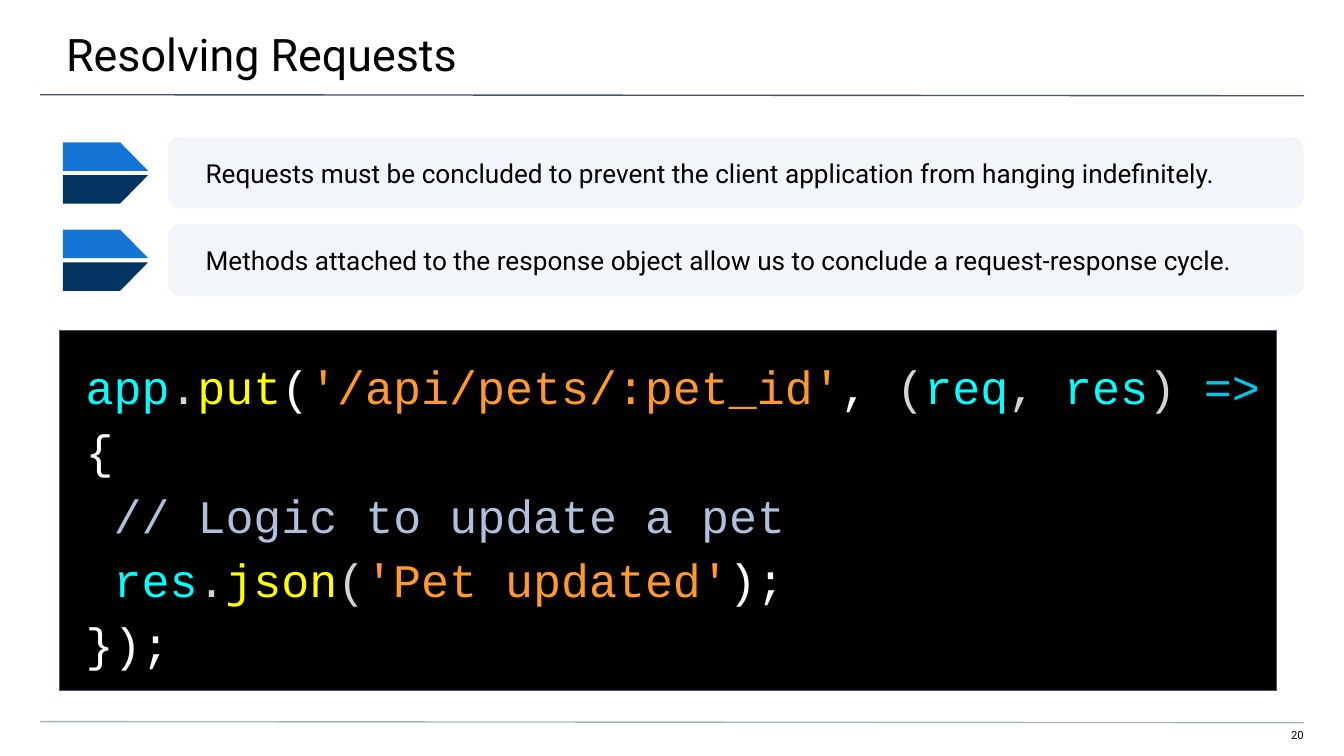
"""Build the Resolving Requests slide with two statements and a code panel."""
from lxml.etree import SubElement
from pptx import Presentation
from pptx.dml.color import RGBColor
from pptx.enum.shapes import MSO_CONNECTOR, MSO_SHAPE
from pptx.enum.text import MSO_ANCHOR, MSO_AUTO_SIZE, PP_ALIGN
from pptx.oxml.ns import qn
from pptx.util import Cm, Pt

BLACK = RGBColor(0x00, 0x00, 0x00)
WHITE = RGBColor(0xFF, 0xFF, 0xFF)
SLATE = RGBColor(0x44, 0x54, 0x6A)
MIST = RGBColor(0xA9, 0xB7, 0xC0)
PALE = RGBColor(0xF2, 0xF5, 0xF9)
BLUE = RGBColor(0x14, 0x75, 0xD4)
NAVY = RGBColor(0x04, 0x34, 0x61)
CYAN = RGBColor(0x00, 0xFF, 0xFF)
GREY = RGBColor(0xD4, 0xD4, 0xD4)
YELLOW = RGBColor(0xFF, 0xFF, 0x00)
ORANGE = RGBColor(0xFF, 0x99, 0x2D)
SKY = RGBColor(0x00, 0xC8, 0xE9)
COMMENT = RGBColor(0xAF, 0xC0, 0xDC)

STATEMENTS = [
    "Requests must be concluded to prevent the client application from hanging indefinitely.",
    "Methods attached to the response object allow us to conclude a request-response cycle.",
]
CODE = [
    [("app", CYAN), (".", GREY), ("put", YELLOW), ("(", WHITE),
     ("'/api/pets/:pet_id'", ORANGE), (",", WHITE), (" (", GREY), ("req", CYAN),
     (", ", GREY), ("res", CYAN), (")", GREY), (" => ", SKY), ("{", WHITE)],
    [(" // Logic to update a pet", COMMENT)],
    [(" res", CYAN), (".", GREY), ("json", YELLOW), ("(", GREY),
     ("'Pet updated'", ORANGE), (");", WHITE)],
    [("});", WHITE)],
]


class SlideBuilder:
    """Hold the style and the current slide."""

    styles = {
        "title": {"name": "Roboto", "size": Pt(24)},
        "statement": {"name": "Roboto", "size": Pt(14)},
        "code": {"name": "Courier New", "size": Pt(25)},
        "number": {"name": "Roboto", "size": Pt(6)},
    }

    def __init__(self, prs):
        """Add a title-only slide."""
        self.s = prs.slides.add_slide(prs.slide_layouts[5])

    def fill_text(self, sp, lines, style, insets, anchor=MSO_ANCHOR.MIDDLE,
                  align=PP_ALIGN.LEFT, spacing=1.0):
        """Fill a shape with lines of coloured runs."""
        tf = sp.text_frame
        sides = ("margin_left", "margin_top", "margin_right", "margin_bottom")
        frame = dict(zip(sides, map(Cm, insets)))
        frame.update(word_wrap=True, auto_size=MSO_AUTO_SIZE.NONE, vertical_anchor=anchor)
        for key, value in frame.items():
            setattr(tf, key, value)
        for i, line in enumerate(lines):
            p = tf.add_paragraph() if i else tf.paragraphs[0]
            for key, value in {"alignment": align, "line_spacing": spacing}.items():
                setattr(p, key, value)
            for text, color in line:
                r = p.add_run()
                r.text = text
                for key, value in self.styles[style].items():
                    setattr(r.font, key, value)
                r.font.color.rgb = color

    def paint(self, sp, fill, line=None):
        """Set the fill and outline without a shadow."""
        sp.shadow.inherit = False
        sp.fill.solid()
        sp.fill.fore_color.rgb = fill
        if line is None:
            sp.line.fill.background()
        else:
            sp.line.color.rgb = line
            sp.line.width = Pt(0.75)

    def title(self, text):
        """Place the title."""
        sp = self.s.shapes.title
        place = {"left": Cm(-0.02), "top": Cm(0), "width": Cm(25.48), "height": Cm(1.48)}
        for key, value in place.items():
            setattr(sp, key, value)
        self.fill_text(sp, [[(text, BLACK)]], "title", (1.27, 0.5, 0.76, 0.25),
                       MSO_ANCHOR.TOP)

    def rule(self, top, color):
        """Draw a line across the slide."""
        sp = self.s.shapes.add_connector(
            MSO_CONNECTOR.STRAIGHT, Cm(0.76), Cm(top), Cm(24.64), Cm(top + 0.02))
        sp.line.color.rgb = color
        sp.line.width = Pt(0.75)
        SubElement(sp._element.spPr, qn("a:effectLst"))

    def statement(self, top, text):
        """Draw a rounded card with its text."""
        sp = self.s.shapes.add_shape(
            MSO_SHAPE.ROUNDED_RECTANGLE, Cm(3.18), Cm(top), Cm(21.46), Cm(1.35))
        sp.adjustments[0] = 0.167
        self.paint(sp, PALE)
        self.fill_text(sp, [[(text, BLACK)]], "statement", (0.64, 0.25, 0.25, 0.25))

    def arrow(self, middle):
        """Draw an arrow of two mirrored halves around a middle line."""
        group = self.s.shapes.add_group_shape()
        for side, color in ((-1, BLUE), (1, NAVY)):
            inner, outer = middle + side * 0.04, middle + side * 0.58
            corners = [(1.19, outer), (1.19, inner), (2.8, inner), (2.27, outer)]
            start, *rest = [(Cm(x), Cm(y)) for x, y in corners]
            builder = group.shapes.build_freeform(*start)
            builder.add_line_segments(rest, close=True)
            self.paint(builder.convert_to_shape(), color)

    def code(self, lines):
        """Draw the code panel."""
        sp = self.s.shapes.add_shape(
            MSO_SHAPE.RECTANGLE, Cm(1.12), Cm(6.25), Cm(23.01), Cm(6.8))
        self.paint(sp, BLACK, SLATE)
        self.fill_text(sp, lines, "code", (0.5, 0.25, 0.25, 0.25), spacing=1.15)

    def number(self, text):
        """Place the slide number."""
        sp = self.s.shapes.add_textbox(Cm(23.9), Cm(13.77), Cm(0.74), Cm(0.3))
        self.fill_text(sp, [[(text, BLACK)]], "number", (0, 0, 0, 0.25),
                       MSO_ANCHOR.TOP, PP_ALIGN.RIGHT)


def main():
    """Build and save the slide."""
    prs = Presentation()
    prs.slide_width, prs.slide_height = Cm(25.4), Cm(14.29)
    slide = SlideBuilder(prs)
    slide.number("20")
    slide.rule(1.79, SLATE)
    slide.rule(13.64, MIST)
    slide.title("Resolving Requests")
    slide.code(CODE)
    for i, text in enumerate(STATEMENTS):
        top = 2.59 + i * 1.65
        slide.statement(top, text)
        slide.arrow(top + 0.68)
    prs.save("out.pptx")


if __name__ == "__main__":
    main()
